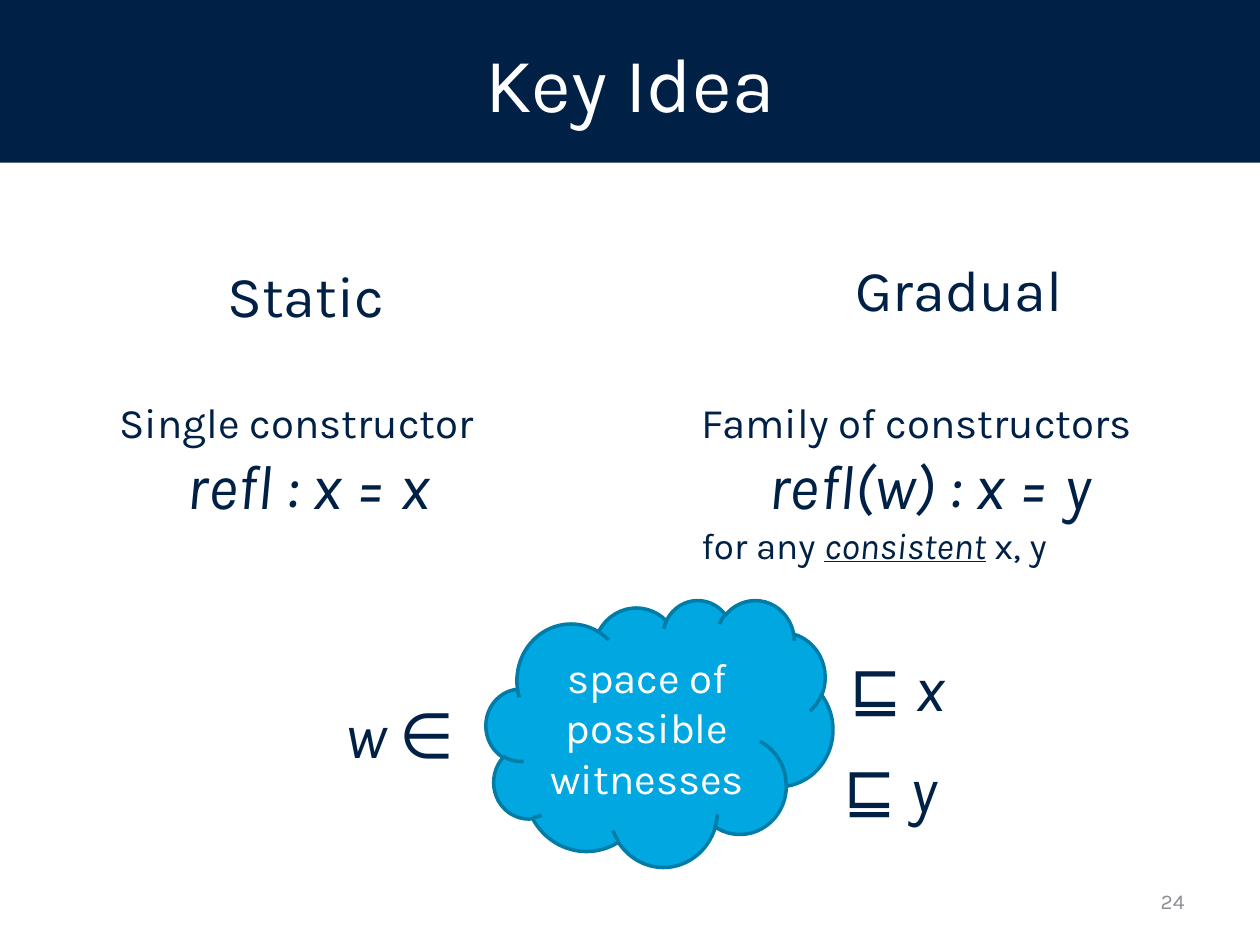
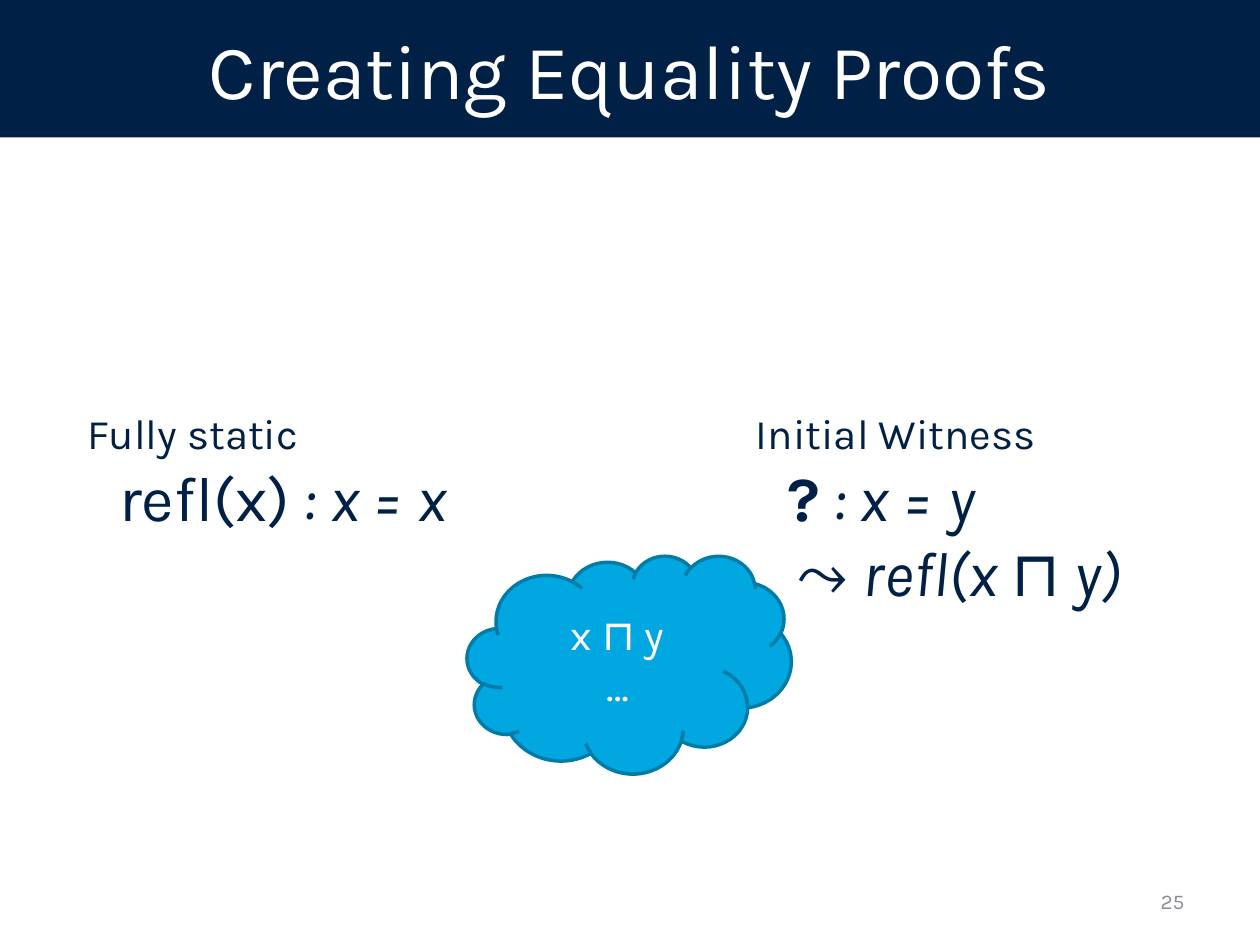
"""Two slides on gradual equality: the key idea and how proofs are created."""
from pptx import Presentation
from pptx.dml.color import RGBColor
from pptx.enum.shapes import MSO_SHAPE
from pptx.enum.text import MSO_ANCHOR, PP_ALIGN
from pptx.util import Cm, Pt

CLOUD = MSO_SHAPE.CLOUD
TOP, MIDDLE = MSO_ANCHOR.TOP, MSO_ANCHOR.MIDDLE
LEFT, CENTER, RIGHT = PP_ALIGN.LEFT, PP_ALIGN.CENTER, PP_ALIGN.RIGHT

FONT = "Karla"
COLORS = {"navy": "002145", "white": "FFFFFF", "grey": "8C8D94",
          "sky": "00A7E1", "teal": "007CA6"}
STYLES = {
    "title": {"size": 44, "color": "white", "align": CENTER},
    "number": {"size": 12, "color": "grey", "align": RIGHT},
    "heading": {"size": 33, "color": "navy", "align": CENTER},
    "heading_left": {"size": 33, "color": "navy", "align": LEFT, "spacing": 0.9},
    "label": {"size": 24, "color": "navy", "align": LEFT},
    "note": {"size": 21, "color": "navy", "align": LEFT},
    "formula": {"size": 36, "color": "navy", "align": LEFT},
    "formula_tab": {"size": 36, "color": "navy", "align": LEFT, "indent": 1.35},
    "formula_in": {"size": 36, "color": "navy", "align": LEFT, "indent": 0.63},
    "formula_step": {"size": 36, "color": "navy", "align": LEFT, "indent": 0.83},
    "cloud": {"size": 24, "color": "white", "align": CENTER},
}
FLAGS = {"b": "bold", "i": "italic", "u": "underline"}
WIDTH, HEIGHT = 25.4, 19.05
NUMBER_BOX = (18.21, 17.65, 5.92, 1.02)

SLIDES = [
    {
        "title": "Key Idea", "band": 3.28, "number": "24",
        "texts": [
            ((4.11, 4.55, 4.11, 2.77), MIDDLE, [("heading", [("Static", "")])]),
            ((17, 4.52, 5.16, 2.77), MIDDLE, [("heading_left", [("Gradual", "")])]),
            ((2.16, 7.87, 9.83, 2.82), TOP, [
                ("label", [("Single constructor", "")]),
                ("formula_tab", [("refl : x = x", "i")])]),
            ((13.89, 7.87, 10.39, 5.26), TOP, [
                ("label", [("Family of constructors", "")]),
                ("formula_tab", [("refl(w) : x = y", "i")]),
                ("note", [("for any ", ""), ("consistent", "iu"), (" x, y", "")])]),
            ((6.71, 13.89, 3.3, 1.8), TOP, [("formula", [("w ", "i"), ("∈", "")])]),
            ((16.87, 12.95, 3.3, 1.8), TOP, [("formula", [("⊑", ""), (" x", "i")])]),
            ((16.76, 14.99, 3.3, 1.8), TOP, [("formula", [("⊑", ""), (" y", "i")])]),
        ],
        "cloud": ((9.8, 12.09, 6.99, 5.38), ["space of possible witnesses"]),
    },
    {
        "title": "Creating Equality Proofs", "band": 2.77, "number": "25",
        "texts": [
            ((1.52, 8.1, 9.83, 2.82), TOP, [
                ("label", [("Fully static", "")]),
                ("formula_in", [("refl(x)", ""), (" : x = x", "i")])]),
            ((14.99, 8.1, 9.83, 4.37), TOP, [
                ("label", [("Initial Witness", "")]),
                ("formula_in", [("?", "b"), (" : x = y", "i")]),
                ("formula_step", [("⤳ ", ""), ("refl(x ", "i"), ("⊓", ""),
                                  (" y)", "i")])]),
        ],
        "cloud": ((9.42, 11.2, 6.53, 4.39), ["x ⊓ y", "…"]),
    },
]


def rgb(name):
    return RGBColor.from_string(COLORS[name])


def place(sp, box):
    for name, value in zip(("left", "top", "width", "height"), box):
        setattr(sp, name, Cm(value))


def write(sp, paragraphs, anchor=MIDDLE):
    tf = sp.text_frame
    tf.word_wrap = True
    tf.vertical_anchor = anchor
    for n, (style_name, runs) in enumerate(paragraphs):
        style = STYLES[style_name]
        p = tf.paragraphs[0] if n == 0 else tf.add_paragraph()
        p.alignment = style["align"]
        p.line_spacing = style.get("spacing", 1.0)
        if "indent" in style:
            p._p.get_or_add_pPr().set("marL", str(Cm(style["indent"])))
        for text, flags in runs:
            r = p.add_run()
            r.text = text
            r.font.color.rgb = rgb(style["color"])
            fmt = {"name": FONT, "size": Pt(style["size"])}
            fmt.update({FLAGS[flag]: True for flag in flags})
            for name, value in fmt.items():
                setattr(r.font, name, value)


def add_text(slide, box, paragraphs, anchor=MIDDLE):
    write(slide.shapes.add_textbox(*map(Cm, box)), paragraphs, anchor)


def add_title(slide, text, band):
    sp = slide.shapes.title
    place(sp, (0, 0, WIDTH, band))
    sp.fill.solid()
    sp.fill.fore_color.rgb = rgb("navy")
    write(sp, [("title", [(text, "")])])


def add_cloud(slide, box, lines):
    sp = slide.shapes.add_shape(CLOUD, *map(Cm, box))
    sp.shadow.inherit = False
    sp.fill.solid()
    sp.fill.fore_color.rgb = rgb("sky")
    sp.line.color.rgb = rgb("teal")
    sp.line.width = Pt(2)
    write(sp, [("cloud", [(line, "")]) for line in lines])


def main():
    prs = Presentation()
    prs.slide_width, prs.slide_height = Cm(WIDTH), Cm(HEIGHT)
    for content in SLIDES:
        slide = prs.slides.add_slide(prs.slide_layouts[5])
        add_title(slide, content["title"], content["band"])
        add_text(slide, NUMBER_BOX, [("number", [(content["number"], "")])])
        add_cloud(slide, *content["cloud"])
        for box, anchor, paragraphs in content["texts"]:
            add_text(slide, box, paragraphs, anchor)
    prs.save("out.pptx")


if __name__ == "__main__":
    main()
